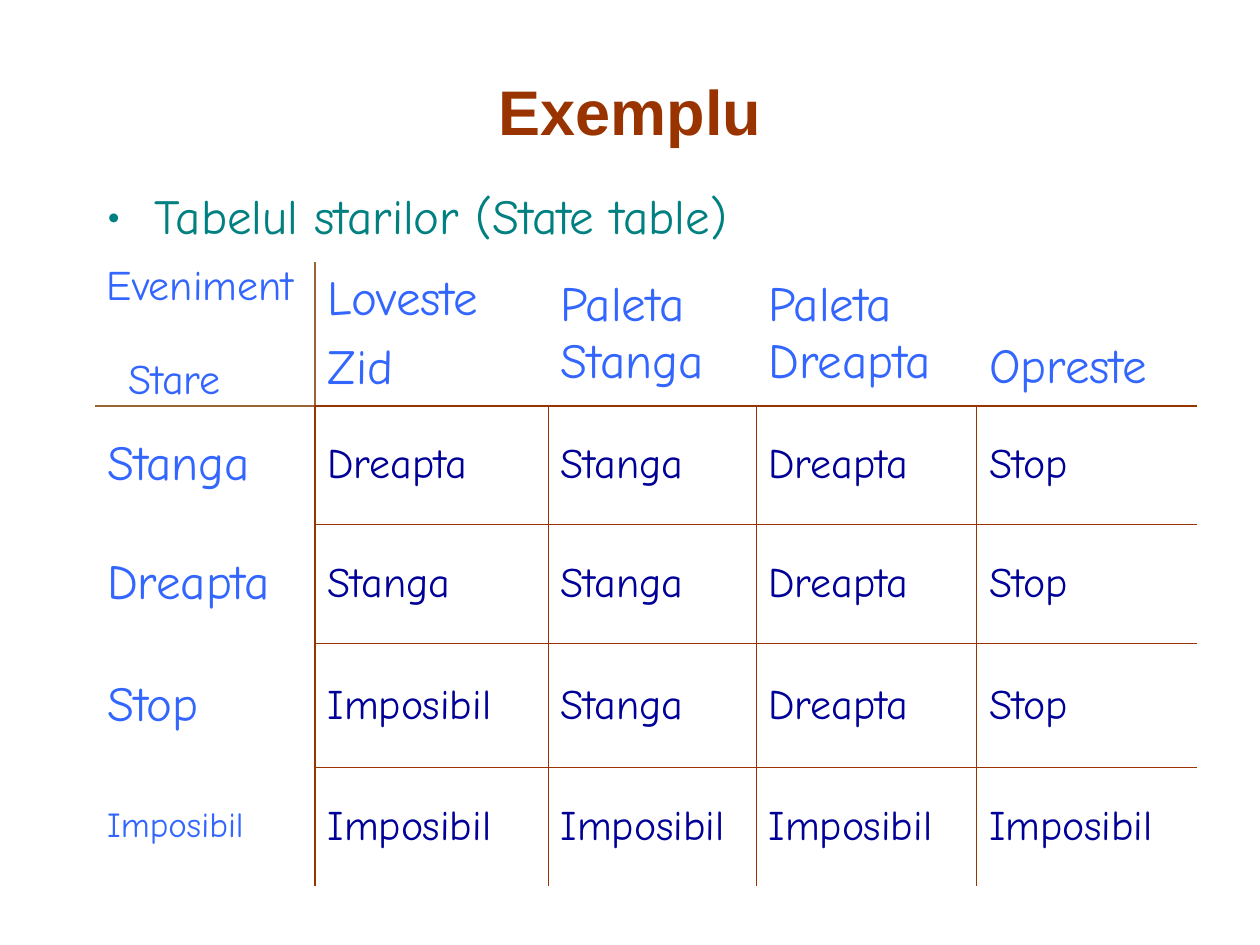
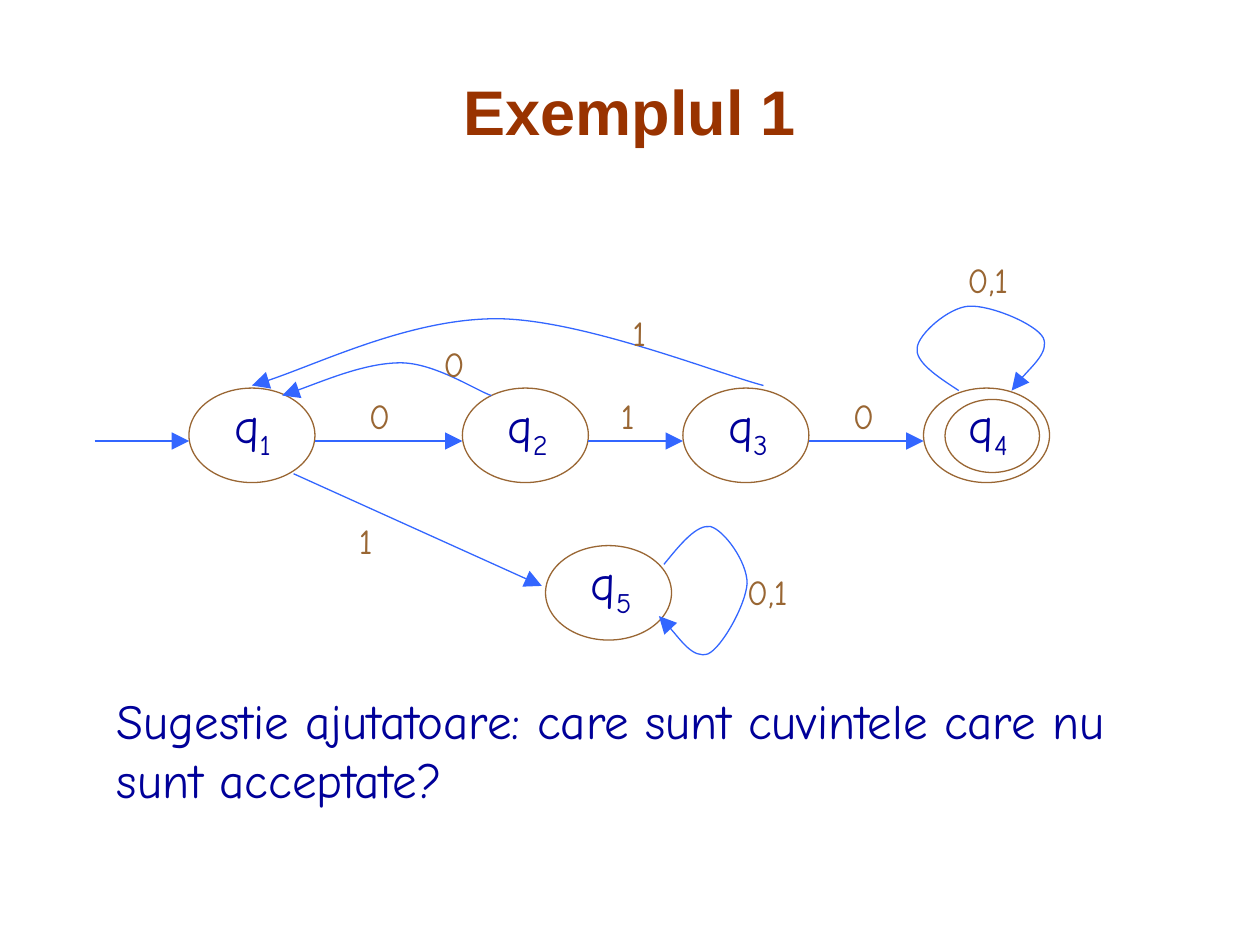
from pptx import Presentation
from pptx.dml.color import RGBColor
from pptx.enum.shapes import MSO_CONNECTOR, MSO_SHAPE
from pptx.enum.text import MSO_ANCHOR, PP_ALIGN
from pptx.oxml.ns import qn
from pptx.util import Inches, Pt
from lxml.etree import SubElement

COLORS = {"title": "993300", "bullet": "008080", "heading": "3366FF", "text": "000099",
          "state": "996633", "arrow": "3366FF", "rule": "993300", "paper": "FFFFFF"}
TITLE_FONT, BODY_FONT = "Arial", "Comic Neue"

# State table
BULLET = "Tabelul starilor (State table)"
TABLE_ROWS = [
    ["", "Loveste\nZid", "Paleta Stanga", "Paleta Dreapta", "Opreste"],
    ["Stanga", "Dreapta", "Stanga", "Dreapta", "Stop"],
    ["Dreapta", "Stanga", "Stanga", "Dreapta", "Stop"],
    ["Stop", "Imposibil", "Stanga", "Dreapta", "Stop"],
    ["Imposibil", "Imposibil", "Imposibil", "Imposibil", "Imposibil"],
]
COLUMN_WIDTHS = [1.75, 1.85, 1.65, 1.75, 1.75]
ROW_HEIGHTS = [1.14, 0.94, 0.95, 0.98, 0.94]
CORNER_LABELS = [("Eveniment", 0.75, 2, 1.83), ("Stare", 0.92, 2.75, 1.33)]

# Automaton
STATES = {"1": (1.5, 3.08), "2": (3.67, 3.08), "3": (5.42, 3.08), "4": (7.33, 3.08),
          "5": (4.33, 4.33)}
STATE_SIZE = (1, 0.75)
ACCEPTING_RING = (7.5, 3.17, 0.75, 0.58)
CHAIN = ["1", "2", "3", "4"]
CHAIN_START, CHAIN_Y = 0.75, 3.5
TO_SINK = ((2.33, 3.76), (4.3, 4.65))
# Each curve: a start point, then control, control, end for every Bezier segment
CURVES = [
    [(3.9, 3.14), (3.78, 3.1), (3.45, 2.88), (3.18, 2.88),
     (2.9, 2.88), (2.43, 3.08), (2.24, 3.14)],
    [(6.06, 3.06), (5.71, 2.97), (4.61, 2.53), (3.94, 2.53),
     (3.26, 2.53), (2.4, 2.95), (2, 3.06)],
    [(7.61, 3.1), (7.44, 2.99), (7.26, 2.87), (7.28, 2.76),
     (7.29, 2.65), (7.53, 2.44), (7.69, 2.43),
     (7.86, 2.42), (8.22, 2.57), (8.28, 2.68),
     (8.33, 2.79), (8.07, 3.03), (8.03, 3.1)],
    [(5.27, 4.48), (5.4, 4.32), (5.53, 4.16), (5.64, 4.18),
     (5.75, 4.21), (5.93, 4.46), (5.93, 4.63),
     (5.92, 4.8), (5.73, 5.14), (5.62, 5.19),
     (5.5, 5.23), (5.29, 4.94), (5.23, 4.89)],
]
EDGE_LABELS = [("0", 2.83, 3.08), ("1", 4.83, 3.08), ("0", 6.67, 3.08), ("1", 4.92, 2.42),
               ("0", 3.42, 2.67), ("0,1", 7.58, 2), ("1", 2.75, 4.07), ("0,1", 5.83, 4.48)]
HINT = "Sugestie ajutatoare: care sunt cuvintele care nu sunt acceptate?"


def color(name):
    return RGBColor.from_string(COLORS[name])


def style(para, size, color_name, font=BODY_FONT):
    para.font.name = font
    para.font.size = Pt(size)
    para.font.color.rgb = color(color_name)


def add_text(page, text, left, top, width, height, size, color_name, font=BODY_FONT):
    box = page.shapes.add_textbox(*map(Inches, (left, top, width, height)))
    box.text_frame.word_wrap = True
    para = box.text_frame.paragraphs[0]
    para.text = text
    style(para, size, color_name, font)
    return box


def add_page(deck, title):
    page = deck.slides.add_slide(deck.slide_layouts[6])
    box = add_text(page, title, 0.75, 0.5, 8.5, 0.75, 36, "title", TITLE_FONT)
    box.fill.solid()
    box.fill.fore_color.rgb = color("paper")
    box.text_frame.vertical_anchor = MSO_ANCHOR.MIDDLE
    para = box.text_frame.paragraphs[0]
    para.alignment = PP_ALIGN.CENTER
    para.font.bold = True
    return page


def add_bullet(para):
    properties = para._p.get_or_add_pPr()
    properties.set("marL", str(Inches(0.38)))
    properties.set("indent", str(-Inches(0.38)))
    bullet_font = SubElement(properties, qn("a:buFont"))
    bullet_font.set("typeface", BODY_FONT)
    bullet = SubElement(properties, qn("a:buChar"))
    bullet.set("char", "•")
    # The schema wants bullets ahead of the default run properties
    properties.insert(0, bullet_font)
    properties.insert(1, bullet)


def vertical_rule(row, left_column):
    """Colour and width of the line right of a column, or None."""
    if left_column == 0:
        return ("state" if row == 0 else "rule"), 1.08
    inside = row > 0 and 0 < left_column < len(COLUMN_WIDTHS) - 1
    return ("rule", 0.45) if inside else None


def horizontal_rule(upper_row, column):
    """Colour and width of the line under a row, or None."""
    if upper_row == 0:
        return ("state" if column == 0 else "rule"), 1.08
    inside = column > 0 and 0 < upper_row < len(ROW_HEIGHTS) - 1
    return ("rule", 0.45) if inside else None


def set_borders(cell, row, column):
    sides = {"L": vertical_rule(row, column - 1), "R": vertical_rule(row, column),
             "T": horizontal_rule(row - 1, column), "B": horizontal_rule(row, column)}
    properties = cell._tc.get_or_add_tcPr()
    for side, rule in sides.items():
        line = SubElement(properties, qn(f"a:ln{side}"))
        if rule is None:
            SubElement(line, qn("a:noFill"))
            continue
        name, width = rule
        line.set("w", str(Pt(width)))
        fill = SubElement(line, qn("a:solidFill"))
        SubElement(fill, qn("a:srgbClr")).set("val", COLORS[name])


def add_state_table(page):
    frame = page.shapes.add_table(
        len(ROW_HEIGHTS), len(COLUMN_WIDTHS), Inches(0.75), Inches(2.08),
        Inches(sum(COLUMN_WIDTHS)), Inches(sum(ROW_HEIGHTS)))
    table = frame.table
    table.first_row = table.horz_banding = False
    for column, width in zip(table.columns, COLUMN_WIDTHS):
        column.width = Inches(width)
    for row, height in zip(table.rows, ROW_HEIGHTS):
        row.height = Inches(height)
    for r, texts in enumerate(TABLE_ROWS):
        for c, text in enumerate(texts):
            cell = table.cell(r, c)
            set_borders(cell, r, c)
            cell.fill.background()
            cell.vertical_anchor = MSO_ANCHOR.MIDDLE
            cell.text = text
            heading = r == 0 or c == 0
            size = 28 if heading else 24
            if heading and text == "Imposibil":
                size = 20
            for para in cell.text_frame.paragraphs:
                style(para, size, "heading" if heading else "text")
                para.space_before = Pt(size / 4)
    last_heading = table.cell(0, len(COLUMN_WIDTHS) - 1)
    last_heading.vertical_anchor = MSO_ANCHOR.BOTTOM
    last_heading.margin_bottom = Inches(0.08)


def draw_arrow(shape):
    shape.line.color.rgb = color("arrow")
    shape.line.width = Pt(0.75)
    head = SubElement(shape.line._get_or_add_ln(), qn("a:tailEnd"))
    head.set("type", "triangle")
    head.set("w", "lg")
    head.set("len", "lg")


def add_arrow(page, start, end):
    arrow = page.shapes.add_connector(MSO_CONNECTOR.STRAIGHT, *map(Inches, start + end))
    draw_arrow(arrow)
    SubElement(arrow._element.spPr, qn("a:effectLst"))


def add_curved_arrow(page, points):
    builder = page.shapes.build_freeform(*map(Inches, points[0]))
    builder.add_line_segments([tuple(map(Inches, point)) for point in points[1:]], close=False)
    curve = builder.convert_to_shape()
    # Every three straight steps become one Bezier segment
    steps = list(curve._element.iter(qn("a:lnTo")))
    outline = steps[0].getparent()
    for first in range(0, len(steps), 3):
        segment = SubElement(outline, qn("a:cubicBezTo"))
        for step in steps[first:first + 3]:
            segment.append(step[0])
            outline.remove(step)
    curve.fill.background()
    draw_arrow(curve)
    curve.shadow.inherit = False


def add_ring(page, left, top, width, height):
    ring = page.shapes.add_shape(MSO_SHAPE.OVAL, *map(Inches, (left, top, width, height)))
    ring.fill.background()
    ring.line.color.rgb = color("state")
    ring.line.width = Pt(0.75)
    ring.shadow.inherit = False


def add_state(page, number):
    left, top = STATES[number]
    label = add_text(page, "q", left + 0.26, top, 0.7, 0.63, 28, "text")
    subscript = label.text_frame.paragraphs[0].add_run()
    subscript.text = number
    subscript._r.get_or_add_rPr().set("baseline", "-25000")
    add_ring(page, left, top, *STATE_SIZE)


def build_table_page(deck):
    page = add_page(deck, "Exemplu")
    body = add_text(page, BULLET, 0.75, 1.42, 5.92, 0.6, 28, "bullet")
    add_bullet(body.text_frame.paragraphs[0])
    add_state_table(page)
    for text, left, top, width in CORNER_LABELS:
        add_text(page, text, left, top, width, 0.5, 24, "heading")


def build_automaton_page(deck):
    page = add_page(deck, "Exemplul 1")
    for number in STATES:
        add_state(page, number)
    add_ring(page, *ACCEPTING_RING)
    start = CHAIN_START
    for number in CHAIN:
        left = STATES[number][0]
        add_arrow(page, (start, CHAIN_Y), (left, CHAIN_Y))
        start = left + STATE_SIZE[0]
    add_arrow(page, *TO_SINK)
    for points in CURVES:
        add_curved_arrow(page, points)
    for text, left, top in EDGE_LABELS:
        add_text(page, text, left, top, 0.83, 0.44, 20, "state")
    add_text(page, HINT, 0.83, 5.43, 8.33, 1.04, 28, "text")


def main():
    deck = Presentation()
    deck.slide_width, deck.slide_height = Inches(10), Inches(7.5)
    build_table_page(deck)
    build_automaton_page(deck)
    deck.save("out.pptx")


if __name__ == "__main__":
    main()
